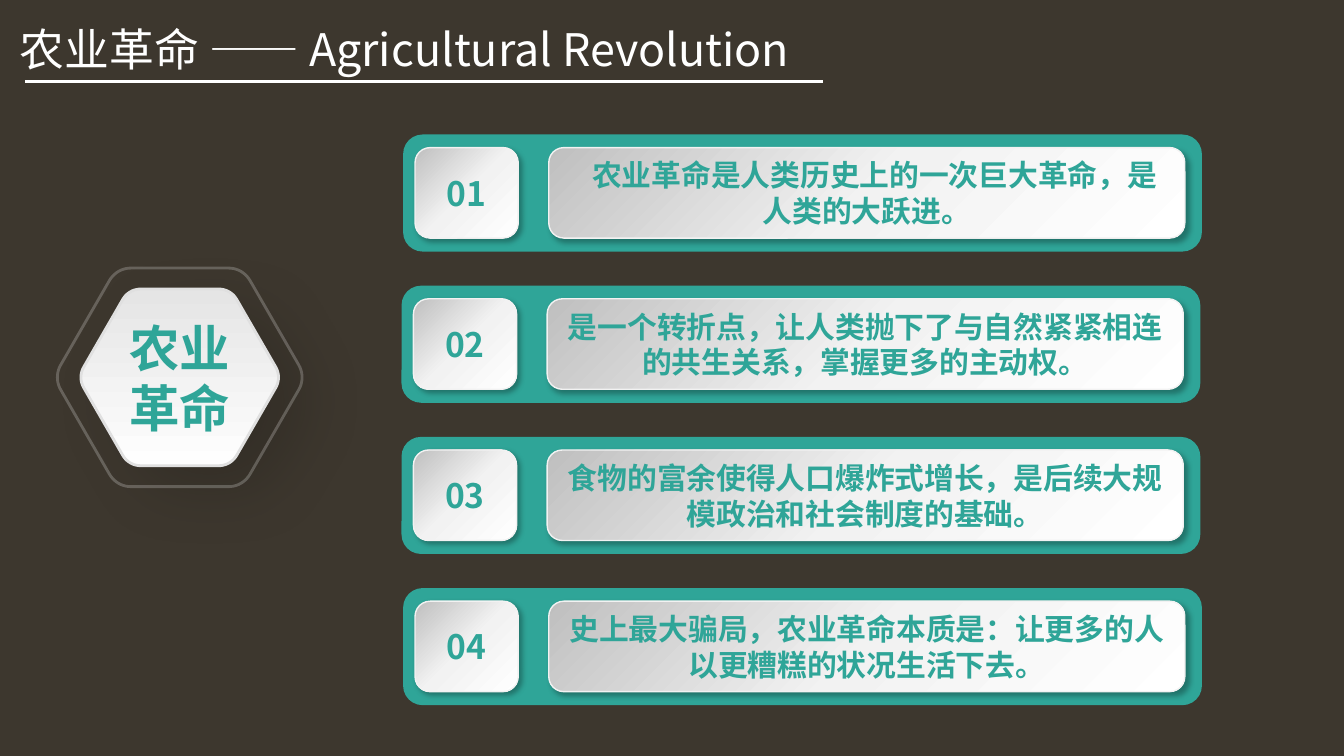
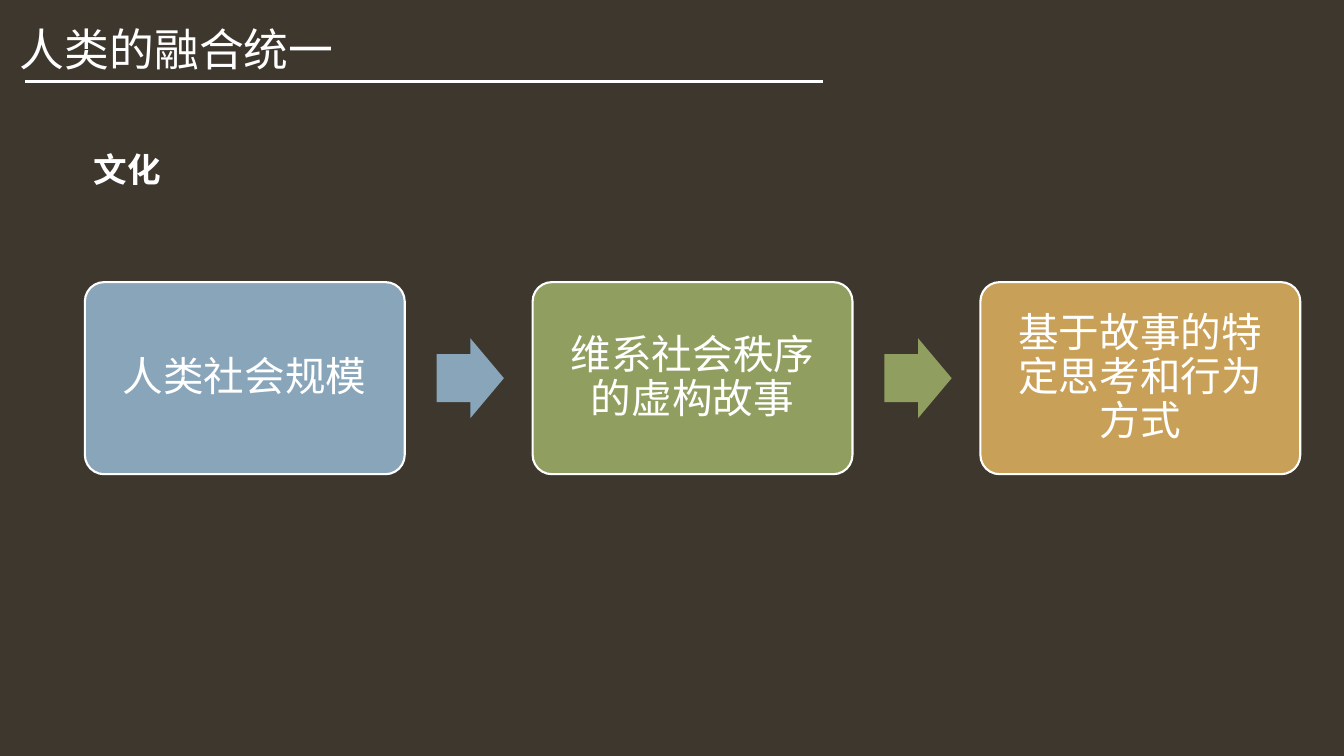
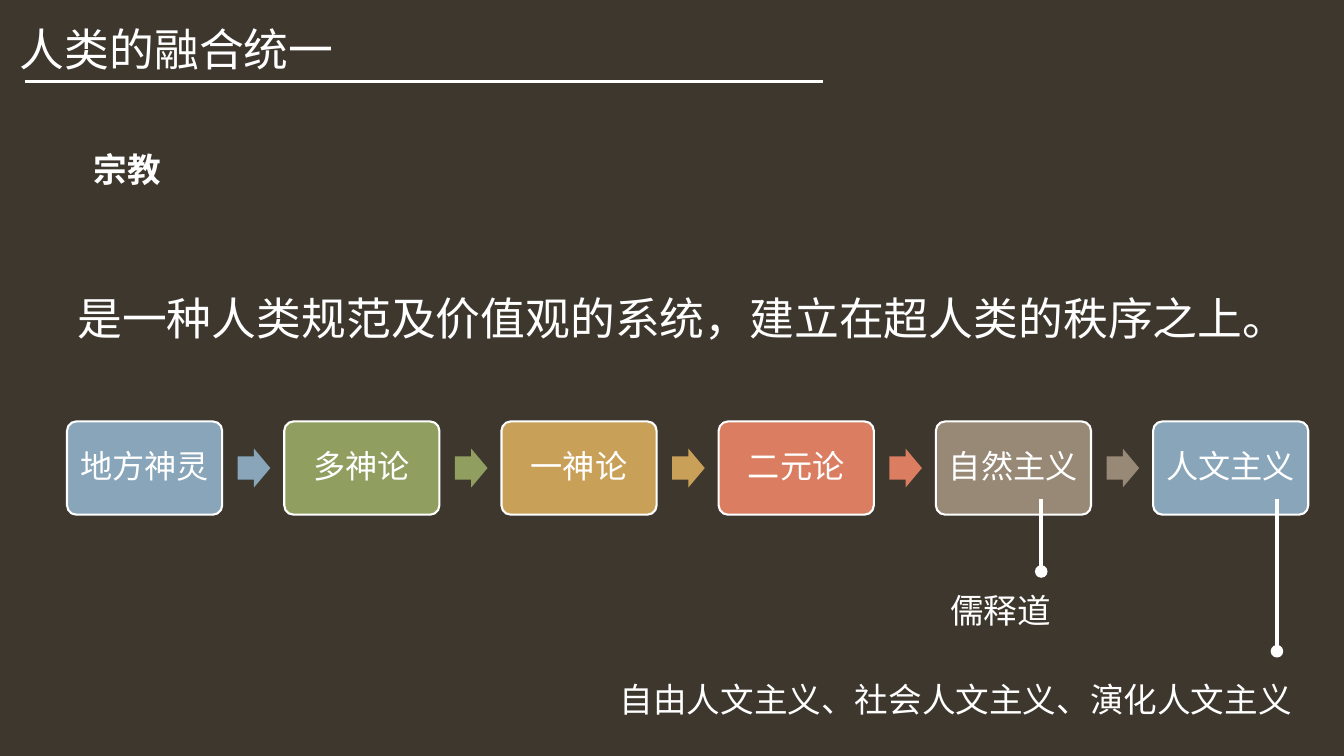
import math

import pptx
import pptx.dml.color
import pptx.enum.shapes
import pptx.enum.text
import pptx.oxml
import pptx.oxml.ns
import pptx.util
import lxml.etree

Cm = pptx.util.Cm
Pt = pptx.util.Pt
RGBColor = pptx.dml.color.RGBColor
Shape = pptx.enum.shapes.MSO_SHAPE
Align = pptx.enum.text.PP_ALIGN
Anchor = pptx.enum.text.MSO_ANCHOR
qn = pptx.oxml.ns.qn

FONT = "Noto Sans CJK SC"
DARK = RGBColor(0x3D, 0x37, 0x2E)
WHITE = RGBColor(0xFF, 0xFF, 0xFF)
TEAL = RGBColor(0x2F, 0xA5, 0x98)
PALE = RGBColor(0xF2, 0xF2, 0xF2)
GREY = RGBColor(0xBF, 0xBF, 0xBF)
SILVER = RGBColor(0xE0, 0xE0, 0xE0)
MIST = RGBColor(0xE5, 0xE5, 0xE5)
SNOW = RGBColor(0xFE, 0xFE, 0xFE)
BLUE = RGBColor(0x88, 0xA5, 0xBA)
GREEN = RGBColor(0x90, 0x9F, 0x5F)
GOLD = RGBColor(0xC9, 0xA0, 0x57)
CORAL = RGBColor(0xDA, 0x7D, 0x60)
TAUPE = RGBColor(0x97, 0x89, 0x75)
HUES = [BLUE, GREEN, GOLD, CORAL, TAUPE]
STEEL = [(0, GREY), (50, PALE), (100, WHITE)]
SOFT = (15, 45, 27, 38)
CRISP = (30, 4, 3, 45)


class Deck:
    """Holds the shared style and the current slide."""

    def __init__(self):
        self.show = pptx.Presentation()
        self.show.slide_width = Cm(33.87)
        self.show.slide_height = Cm(19.05)
        fill = self.show.slide_master.background.fill
        fill.solid()
        fill.fore_color.rgb = DARK

    def start(self, title):
        self.slide = self.show.slides.add_slide(self.show.slide_layouts[5])
        self.shapes = self.slide.shapes
        head = self.shapes.title
        head.left, head.top, head.width, head.height = Cm(0), Cm(0.42), Cm(22.45), Cm(3)
        self.set_text(head, [title], 32, align=Align.LEFT, anchor=Anchor.TOP)
        head.text_frame.margin_left = Cm(0.5)
        self.line(0.64, 2.06, 20.75, 2.06, 2.25)

    def set_text(self, shape, lines, size, hue=WHITE, bold=False, align=Align.CENTER,
                 anchor=Anchor.MIDDLE, pad=0.25, space=None, indent=0):
        frame = shape.text_frame
        frame.word_wrap = True
        frame.auto_size = pptx.enum.text.MSO_AUTO_SIZE.NONE
        frame.vertical_anchor = anchor
        frame.margin_left = frame.margin_right = Cm(pad)
        frame.margin_top = frame.margin_bottom = Cm(0.13)
        for i, text in enumerate(lines):
            para = frame.add_paragraph() if i else frame.paragraphs[0]
            para.alignment = align
            if space:
                para.line_spacing = space
            if indent:
                para._p.get_or_add_pPr().set("indent", str(Cm(indent)))
            run = para.add_run()
            run.text = text
            font = run.font
            font.size, font.bold, font.name = Pt(size), bold, FONT
            font.color.rgb = hue
            mark = lxml.etree.SubElement(run._r.get_or_add_rPr(), qn("a:ea"))
            mark.set("typeface", FONT)

    def label(self, x, y, w, h, text, size, bold=False):
        box = self.shapes.add_textbox(Cm(x), Cm(y), Cm(w), Cm(h))
        self.set_text(box, [text], size, bold=bold, align=Align.LEFT, anchor=Anchor.TOP)

    def line(self, x1, y1, x2, y2, width, dot=False):
        link = self.shapes.add_connector(
            pptx.enum.shapes.MSO_CONNECTOR.STRAIGHT, Cm(x1), Cm(y1), Cm(x2), Cm(y2))
        link.line.color.rgb = WHITE
        link.line.width = Pt(width)
        if dot:
            lxml.etree.SubElement(link.line._get_or_add_ln(), qn("a:tailEnd")).set("type", "oval")
        lxml.etree.SubElement(link._element.spPr, qn("a:effectLst"))

    def paint(self, shape, fill=None, edge=None, width=1.0):
        shape.shadow.inherit = False
        if fill is None:
            shape.fill.background()
        else:
            shape.fill.solid()
            shape.fill.fore_color.rgb = fill
        if edge is None:
            shape.line.fill.background()
        else:
            shape.line.color.rgb = edge
            shape.line.width = Pt(width)

    def box(self, kind, x, y, w, h, fill=None, edge=None, width=1.0):
        shape = self.shapes.add_shape(kind, Cm(x), Cm(y), Cm(w), Cm(h))
        self.paint(shape, fill, edge, width)
        return shape

    def blend(self, shape, stops, angle):
        props = shape._element.spPr
        marks = "".join(f'<a:gs pos="{pos * 1000}"><a:srgbClr val="{hue}"/></a:gs>'
                        for pos, hue in stops)
        grad = pptx.oxml.parse_xml(
            f'<a:gradFill {pptx.oxml.ns.nsdecls("a")} rotWithShape="1"><a:gsLst>{marks}</a:gsLst>'
            f'<a:lin ang="{angle * 60000}" scaled="0"/></a:gradFill>')
        props.replace(props.find(qn("a:noFill")), grad)

    def shade(self, shape, alpha, blur, dist, angle):
        shape._element.spPr.find(qn("a:effectLst")).append(pptx.oxml.parse_xml(
            f'<a:outerShdw {pptx.oxml.ns.nsdecls("a")} blurRad="{Pt(blur)}" dist="{Pt(dist)}" '
            f'dir="{angle * 60000}" algn="tl" rotWithShape="0"><a:srgbClr val="000000">'
            f'<a:alpha val="{alpha * 1000}"/></a:srgbClr></a:outerShdw>'))

    def hexa(self, x, y, size, trim, edge):
        dots = []
        for turn in range(0, 360, 60):
            for lean in range(-30, 31, 6):
                hub, arc = math.radians(turn), math.radians(turn + lean)
                reach, curve = size - 2 * trim, trim * math.sqrt(3)
                dots.append((Cm(x + reach * math.cos(hub) + curve * math.cos(arc)),
                             Cm(y + reach * math.sin(hub) + curve * math.sin(arc))))
        pen = self.shapes.build_freeform(*dots[0], scale=1.0)
        pen.add_line_segments(dots[1:], close=True)
        shape = pen.convert_to_shape()
        self.paint(shape, edge=edge, width=2)
        self.shade(shape, *SOFT)
        return shape

    def plaque(self, x, y, w, text, size, indent=0):
        shape = self.box(Shape.ROUNDED_RECTANGLE, x, y, w, 2.28, edge=PALE)
        self.blend(shape, STEEL, 45)
        self.shade(shape, *CRISP)
        self.set_text(shape, [text], size, TEAL, True, indent=indent)

    def chain(self, names, x, y, w, h, size, pad):
        for i, name in enumerate(names):
            left, hue = x + i * 1.4 * w, HUES[i % len(HUES)]
            card = self.box(Shape.ROUNDED_RECTANGLE, left, y, w, h, hue, WHITE, 1.5)
            card.adjustments[0] = 0.1
            self.set_text(card, [name], size, pad=pad, space=0.9)
            if i < len(names) - 1:
                tall = 0.25 * w
                arrow = self.box(Shape.RIGHT_ARROW, left + 1.1 * w, y + (h - tall) / 2,
                                 0.21 * w, tall, hue)
                arrow.adjustments[0] = 0.6


def main():
    deck = Deck()

    deck.start("农业革命 —— Agricultural Revolution")
    core = deck.hexa(4.53, 9.51, 2.57, 0.3, SILVER)
    deck.blend(core, [(0, MIST), (100, SNOW)], 90)
    deck.set_text(core, ["农业", "革命"], 36, TEAL, True)
    ring = deck.hexa(4.53, 9.51, 3.18, 0.36, WHITE)
    tint = ring.line._get_or_add_ln().find(".//" + qn("a:srgbClr"))
    lxml.etree.SubElement(tint, qn("a:alpha")).set("val", "22000")
    points = [
        (10.16, "农业革命是人类历史上的一次巨大革命，是人类的大跃进。", 0.4),
        (10.12, "是一个转折点，让人类抛下了与自然紧紧相连的共生关系，掌握更多的主动权。", 0),
        (10.12, "食物的富余使得人口爆炸式增长，是后续大规模政治和社会制度的基础。", 0),
        (10.16, "史上最大骗局，农业革命本质是：让更多的人以更糟糕的状况生活下去。", 0),
    ]
    for i, (left, text, indent) in enumerate(points):
        top = 3.39 + i * 3.81
        deck.box(Shape.ROUNDED_RECTANGLE, left, top, 20.13, 2.95, TEAL)
        deck.plaque(left + 3.67, top + 0.33, 16.03, text, 21.3, indent)
        deck.plaque(left + 0.3, top + 0.33, 2.6, f"{i + 1:02}", 24)

    deck.start("人类的融合统一")
    deck.label(2.11, 3.63, 10.16, 1.27, "文化", 24, True)
    deck.chain(["人类社会规模", "维系社会秩序的虚构故事", "基于故事的特定思考和行为方式"],
               2.14, 7.11, 8.06, 4.84, 29, 0.32)

    deck.start("人类的融合统一")
    deck.label(2.11, 3.63, 10.16, 1.27, "宗教", 24, True)
    deck.label(1.7, 7.19, 31.29, 1.63, "是一种人类规范及价值观的系统，建立在超人类的秩序之上。", 32)
    deck.label(15.37, 16.99, 17.6, 1.27, "自由人文主义、社会人文主义、演化人文主义", 24)
    deck.chain(["地方神灵", "多神论", "一神论", "二元论", "自然主义", "人文主义"],
               1.69, 10.62, 3.91, 2.35, 23, 0.2)
    deck.label(23.7, 14.73, 3.07, 1.27, "儒释道", 24)
    deck.line(26.24, 12.57, 26.24, 14.4, 3, True)
    deck.line(32.18, 12.57, 32.18, 16.41, 3, True)

    deck.show.save("out.pptx")


if __name__ == "__main__":
    main()
